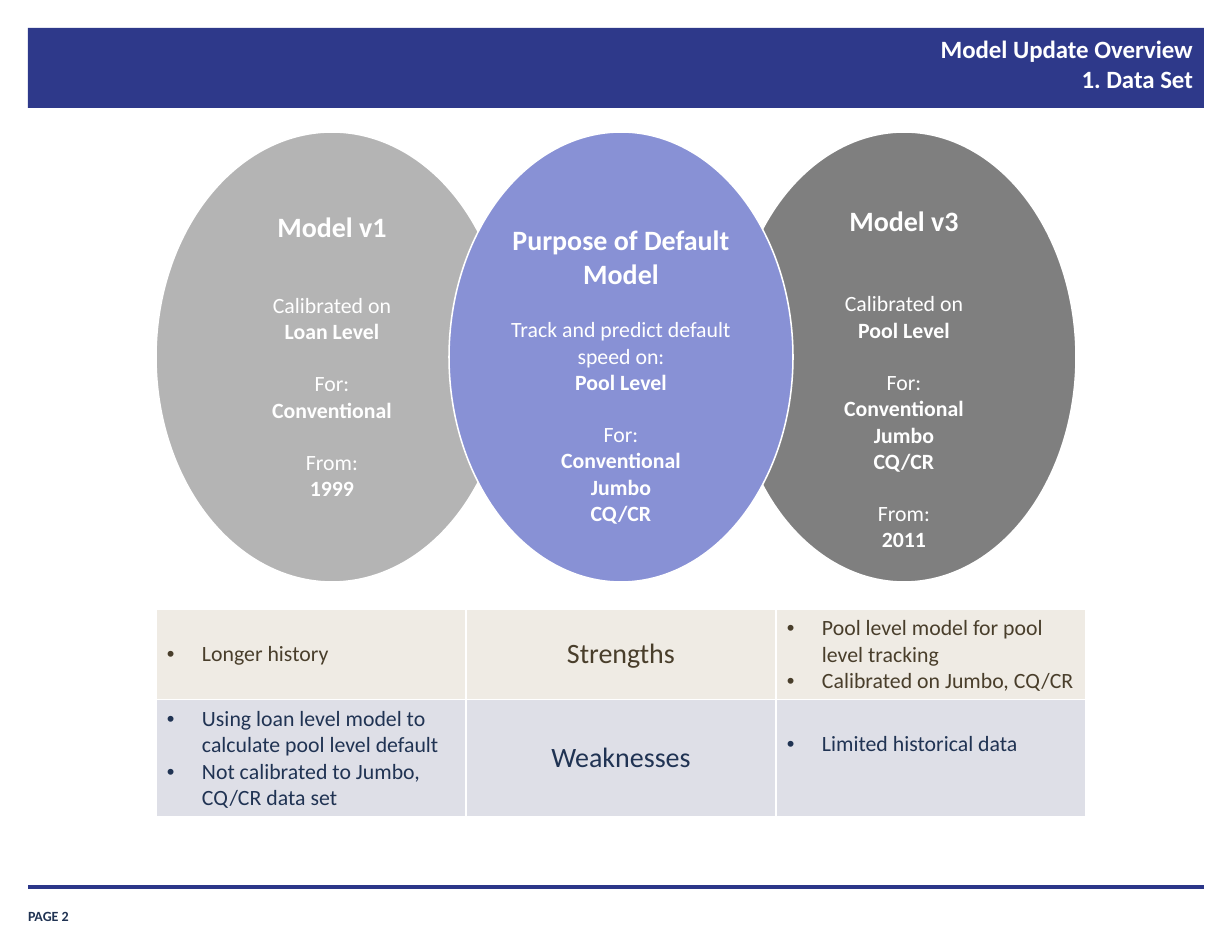
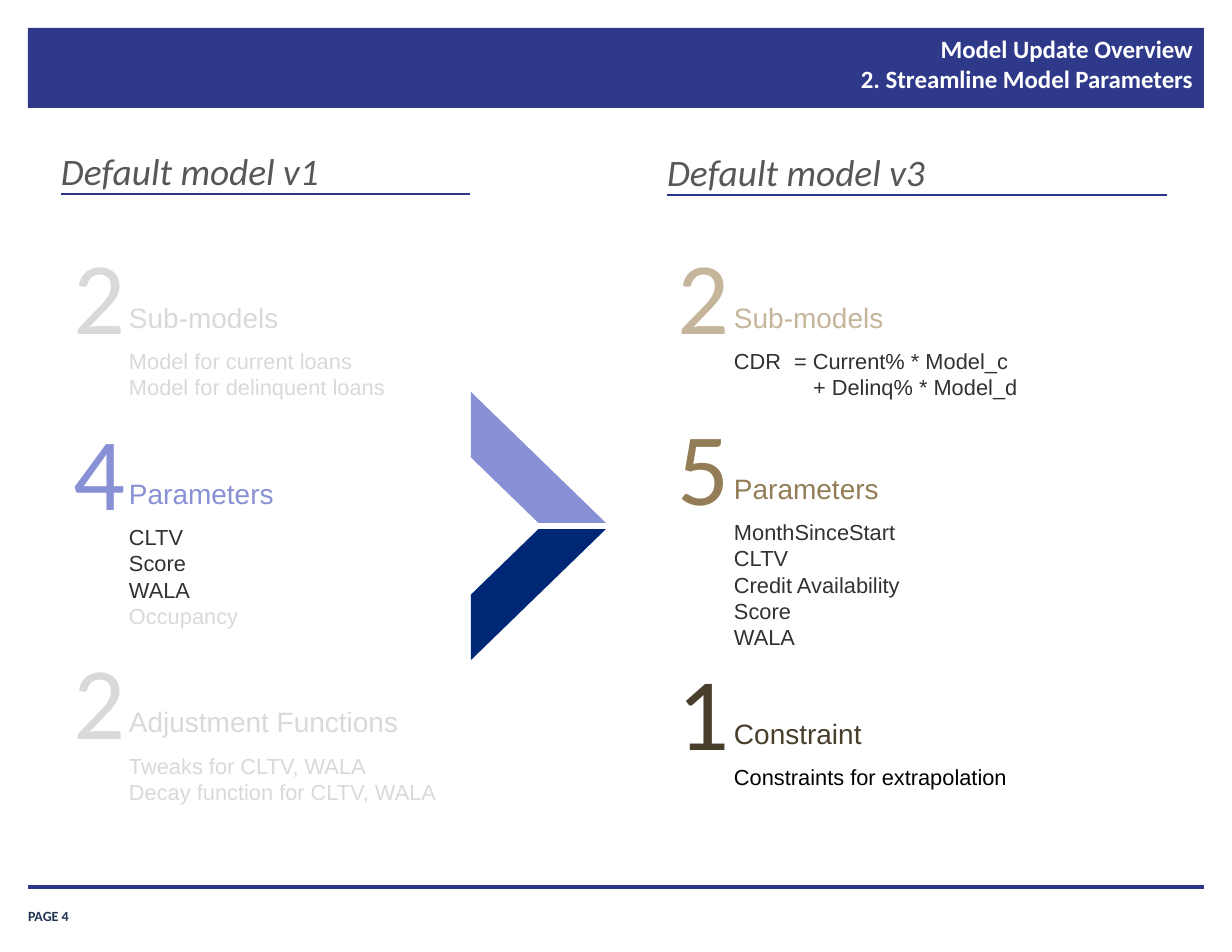
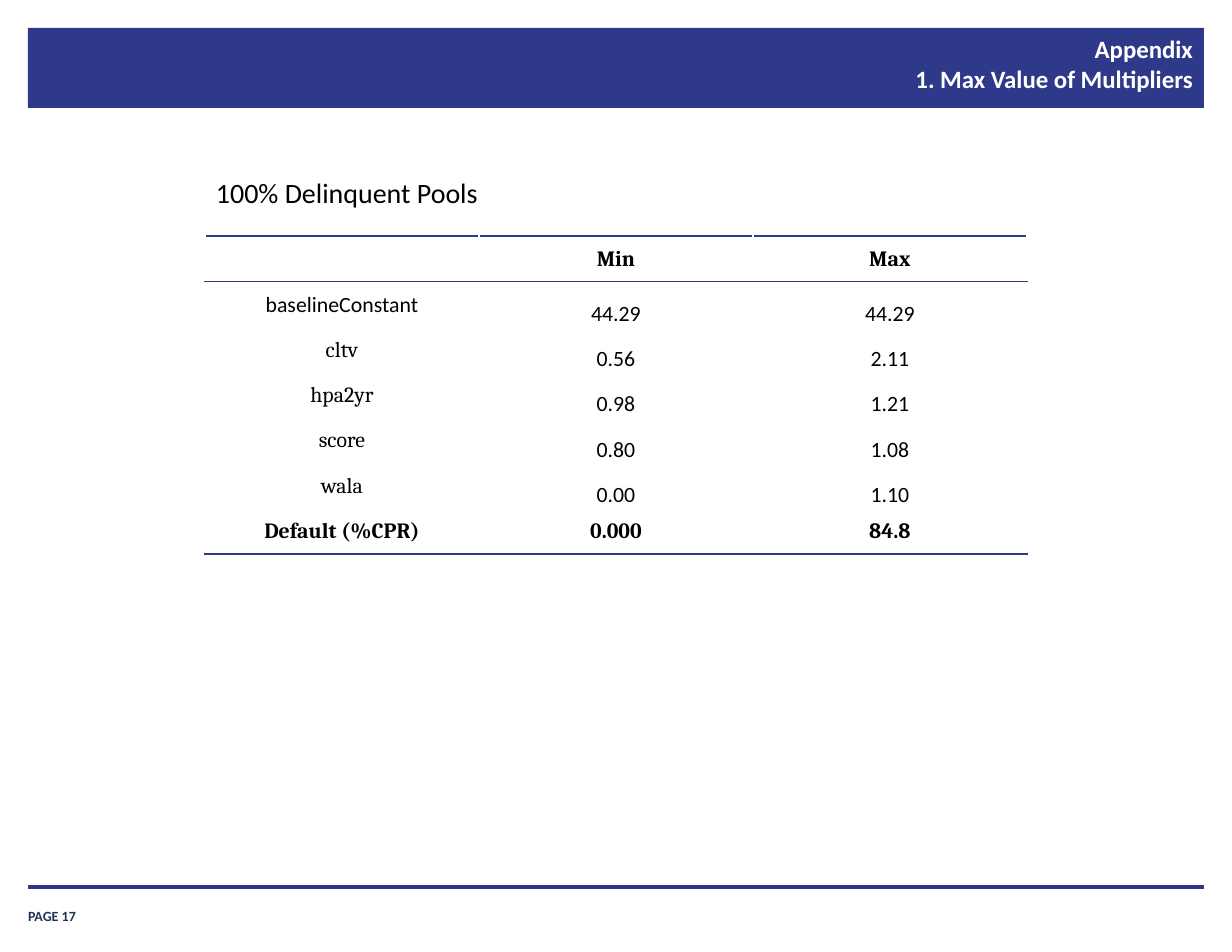
from dataclasses import dataclass

from lxml.etree import SubElement
from pptx import Presentation
from pptx.dml.color import RGBColor
from pptx.enum.shapes import MSO_CONNECTOR, MSO_SHAPE
from pptx.enum.text import MSO_ANCHOR, PP_ALIGN
from pptx.oxml.ns import qn
from pptx.util import Emu, Pt

EMU_PER_PX = 914400 / 112
COLORS = {
    "band": "2E398A", "rule": "2B3689", "navy": "203353", "white": "FFFFFF",
    "black": "000000", "silver": "B4B4B4", "gray": "7F7F7F", "faded": "D9D9D9",
    "heading": "575757", "body": "313131", "lavender": "8891D5", "deep_blue": "002776",
    "sand": "C4B59B", "tan": "937D57", "brown": "493E2B",
    "strength": "EFEBE4", "weakness": "DEDFE7",
}
INSETS = (11, 6, 11, 6)
NO_INSETS = (0, 0, 0, 0)


def px(length):
    return Emu(round(length * EMU_PER_PX))


def rgb(name):
    return RGBColor.from_string(COLORS[name])


@dataclass
class Para:
    """One paragraph; before is in points, indent, hanging and tab are in px."""
    text: str
    size: int = 14
    color: str = "black"
    font: str = "Calibri"
    bold: bool = False
    italic: bool = False
    align: PP_ALIGN = PP_ALIGN.LEFT
    before: int = 0
    spacing: float = 1.0
    indent: int = 0
    hanging: int = 0
    bullet: str = ""
    tab: int = 0


class Deck:
    def __init__(self):
        self.prs = Presentation()
        self.prs.slide_width, self.prs.slide_height = px(1232), px(952)
        self.slide = None

    def new_slide(self, title, page):
        self.slide = self.prs.slides.add_slide(self.prs.slide_layouts[6])
        self.shape(MSO_SHAPE.RECTANGLE, (28, 28, 1176, 80), "band")
        self.text((28, 898, 102, 26), [Para(f"PAGE {page}", 9, "navy", bold=True)],
                  NO_INSETS, MSO_ANCHOR.BOTTOM)
        self.line(28, 1204, 887, 2)
        self.text((372, 27, 833, 83),
                  [Para(title, 16, "white", bold=True, align=PP_ALIGN.RIGHT)], (12, 7, 12, 7))

    def add_paragraphs(self, frame, paras):
        for number, para in enumerate(paras):
            paragraph = frame.paragraphs[0] if number == 0 else frame.add_paragraph()
            paragraph.alignment = para.align
            paragraph.line_spacing = para.spacing
            if para.before:
                paragraph.space_before = Pt(para.before)
            properties = paragraph._p.get_or_add_pPr()
            if para.indent:
                properties.set("marL", str(px(para.indent)))
                properties.set("indent", str(px(-para.hanging)))
            if para.bullet:
                SubElement(properties, qn("a:buFont"), typeface="Arial")
                SubElement(properties, qn("a:buChar"), char=para.bullet)
            if para.tab:
                tabs = SubElement(properties, qn("a:tabLst"))
                SubElement(tabs, qn("a:tab"), pos=str(px(para.tab)), algn="l")
            for position, text in enumerate(para.text.split("\n")):
                if position:
                    paragraph.add_line_break()
                run = paragraph.add_run()
                run.text = text
                run.font.name, run.font.size = para.font, Pt(para.size)
                run.font.bold, run.font.italic = para.bold, para.italic
                run.font.color.rgb = rgb(para.color)

    def set_margins(self, target, insets):
        (target.margin_left, target.margin_top,
         target.margin_right, target.margin_bottom) = map(px, insets)

    def fill_frame(self, frame, paras, insets, anchor):
        frame.word_wrap = True
        frame.vertical_anchor = anchor
        self.set_margins(frame, insets)
        self.add_paragraphs(frame, paras)

    def text(self, box, paras, insets=INSETS, anchor=MSO_ANCHOR.TOP):
        area = self.slide.shapes.add_textbox(*map(px, box))
        self.fill_frame(area.text_frame, paras, insets, anchor)

    def shape(self, kind, box, fill, outline=None, paras=(), insets=INSETS, flip=False):
        shape = self.slide.shapes.add_shape(kind, *map(px, box))
        shape.shadow.inherit = False
        shape.fill.solid()
        shape.fill.fore_color.rgb = rgb(fill)
        if outline:
            shape.line.color.rgb = rgb(outline)
            shape.line.width = Pt(1)
        else:
            shape.line.fill.background()
        if flip:
            shape._element.spPr.find(qn("a:xfrm")).set("flipV", "1")
        if paras:
            self.fill_frame(shape.text_frame, paras, insets, MSO_ANCHOR.MIDDLE)

    def line(self, left, right, y, width):
        rule = self.slide.shapes.add_connector(
            MSO_CONNECTOR.STRAIGHT, px(left), px(y), px(right), px(y))
        rule.line.color.rgb = rgb("rule")
        rule.line.width = Pt(width)
        SubElement(rule._element.spPr, qn("a:effectLst"))

    def table(self, left, top, widths, heights):
        frame = self.slide.shapes.add_table(
            len(heights), len(widths), px(left), px(top), px(sum(widths)), px(sum(heights)))
        table = frame.table
        table.first_row = table.horz_banding = False
        for column, width in zip(table.columns, widths):
            column.width = px(width)
        for row, height in zip(table.rows, heights):
            row.height = px(height)
        return table

    def cell(self, cell, paras, insets=INSETS, anchor=MSO_ANCHOR.MIDDLE,
             fill=None, edges="", edge_color="white"):
        """Fill one cell; edges lists the bordered sides among L, R, T, B in that order."""
        self.set_margins(cell, insets)
        cell.vertical_anchor = anchor
        self.add_paragraphs(cell.text_frame, paras)
        properties = cell._tc.get_or_add_tcPr()
        for edge in edges:
            border = SubElement(properties, qn(f"a:ln{edge}"), w=str(Pt(1)))
            paint = SubElement(border, qn("a:solidFill"))
            SubElement(paint, qn("a:srgbClr"), val=COLORS[edge_color])
        if fill:
            cell.fill.solid()
            cell.fill.fore_color.rgb = rgb(fill)
        else:
            cell.fill.background()


def centered(text, size=14, **style):
    return Para(text, size, "white", align=PP_ALIGN.CENTER, **style)


def model_facts(title, sections, title_gap, spacing=1.0):
    """Bold title, then sections of one plain line followed by bold lines."""
    paras = [centered(title, 18, bold=True, spacing=spacing)]
    for number, (lead, *values) in enumerate(sections):
        paras.append(centered(lead, before=17 if number else title_gap))
        paras += [centered(value, bold=True) for value in values]
    return paras


def data_set(deck):
    deck.new_slide("Model Update Overview\n1. Data Set", 2)
    coverage = ("For:", "Conventional", "Jumbo", "CQ/CR")
    v1 = model_facts("Model v1", [("Calibrated on", "Loan Level"), ("For:", "Conventional"),
                                  ("From:", "1999")], 31, 0.9)
    v3 = model_facts("Model v3", [("Calibrated on", "Pool Level"), coverage,
                                  ("From:", "2011")], 34)
    purpose = model_facts("Purpose of Default Model",
                          [("Track and predict default speed on:", "Pool Level"), coverage], 17)
    for left, width, fill, facts, top_inset in (
            (156, 352, "silver", v1, 4), (732, 344, "gray", v3, 46),
            (449, 344, "lavender", purpose, 38)):
        deck.shape(MSO_SHAPE.OVAL, (left, 132, width, 450), fill, "white", facts,
                   (4, top_inset, 4, 4))

    comparison = deck.table(156, 609, [310] * 3, [89, 117])
    verdicts = (
        ("strength", "brown", ["Longer history"], "Strengths",
         ["Pool level model for pool level tracking", "Calibrated on Jumbo, CQ/CR"], 6),
        ("weakness", "navy", ["Using loan level model to calculate pool level default",
                              "Not calibrated to Jumbo, CQ/CR data set"], "Weaknesses",
         ["Limited historical data"], 34),
    )
    for row, (fill, color, v1_points, label, v3_points, v3_bottom) in enumerate(verdicts):
        v1_paras, v3_paras = (
            [Para(point, color=color, indent=35, hanging=35, bullet="•") for point in points]
            for points in (v1_points, v3_points))
        label_paras = [Para(label, 18, color, align=PP_ALIGN.CENTER)]
        for column, (paras, bottom) in enumerate(
                ((v1_paras, 6), (label_paras, 6), (v3_paras, v3_bottom))):
            deck.cell(comparison.cell(row, column), paras, (11, 6, 11, bottom),
                      fill=fill, edges="LRTB")


def parameters(deck):
    deck.new_slide("Model Update Overview\n2. Streamline Model Parameters", 4)
    for name, left, right, top in (("Default model v1", 61, 470, 148),
                                   ("Default model v3", 667, 1167, 149)):
        deck.text((left, top, 623, 45), [Para(name, 24, "heading", italic=True)], NO_INSETS)
        deck.line(left, right, top + 46, 0.75)

    def arial(text, color, **style):
        return Para(text, 14, color, "Arial", **style)

    v1_groups = (
        (232, "2", "Sub-models", "faded",
         [arial(text, "faded") for text in ("Model for current loans",
                                            "Model for delinquent loans")]),
        (408, "4", "Parameters", "lavender",
         [arial(text, "body") for text in ("CLTV", "Score", "WALA")]
         + [arial("Occupancy", "faded")]),
        (637, "2", "Adjustment Functions", "faded",
         [arial(text, "faded") for text in ("Tweaks for CLTV, WALA",
                                            "Decay function for CLTV, WALA")]),
    )
    v3_groups = (
        (232, "2", "Sub-models", "sand",
         [arial("CDR\t= Current% * Model_c", "body", tab=60),
          arial("+ Delinq% * Model_d", "body", indent=79)]),
        (403, "5", "Parameters", "tan",
         [arial(text, "body") for text in ("MonthSinceStart", "CLTV", "Credit Availability",
                                           "Score", "WALA")]),
        (648, "1", "Constraint", "brown", [arial("Constraints for extrapolation", "black")]),
    )
    for left, groups in ((73, v1_groups), (678, v3_groups)):
        for top, count, heading, color, details in groups:
            deck.text((left, top, 45, 124),
                      [Para(count, 66, color, align=PP_ALIGN.CENTER)], NO_INSETS)
            deck.text((left + 45, top + 62, 332, 45), [Para(heading, 18, color, "Arial")])
            deck.text((left + 45, top + 110, 332, 12 + 26 * len(details)), details)

    deck.shape(MSO_SHAPE.DIAGONAL_STRIPE, (471, 529, 135, 131), "deep_blue")
    deck.shape(MSO_SHAPE.DIAGONAL_STRIPE, (471, 392, 135, 131), "lavender", flip=True)


def multipliers(deck):
    deck.new_slide("Appendix\n1. Max Value of Multipliers", 17)
    rows = (
        ("", "Min", "Max"),
        ("baselineConstant", "44.29", "44.29"),
        ("cltv", "0.56", "2.11"),
        ("hpa2yr", "0.98", "1.21"),
        ("score", "0.80", "1.08"),
        ("wala", "0.00", "1.10"),
        ("Default (%CPR)", "0.000", "84.8"),
    )
    last = len(rows) - 1
    edges = {0: "TB", 1: "T", last: "B"}
    limits = deck.table(205, 236, [274] * 3, [318 / len(rows)] * len(rows))
    for row, values in enumerate(rows):
        strong = row in (0, last)
        for column, value in enumerate(values):
            plain_value = column > 0 and not strong
            font = "Calibri" if plain_value or value == "baselineConstant" else "Cambria"
            paras = [Para(value, font=font, bold=strong, align=PP_ALIGN.CENTER)] if value else []
            deck.cell(limits.cell(row, column), paras, (1, 1, 1, 0),
                      MSO_ANCHOR.BOTTOM if plain_value else MSO_ANCHOR.MIDDLE,
                      edges=edges.get(row, ""), edge_color="band")
    deck.text((205, 169, 299, 45), [Para("100% Delinquent Pools", 18)])


def main():
    deck = Deck()
    data_set(deck)
    parameters(deck)
    multipliers(deck)
    deck.prs.save("out.pptx")


if __name__ == "__main__":
    main()
